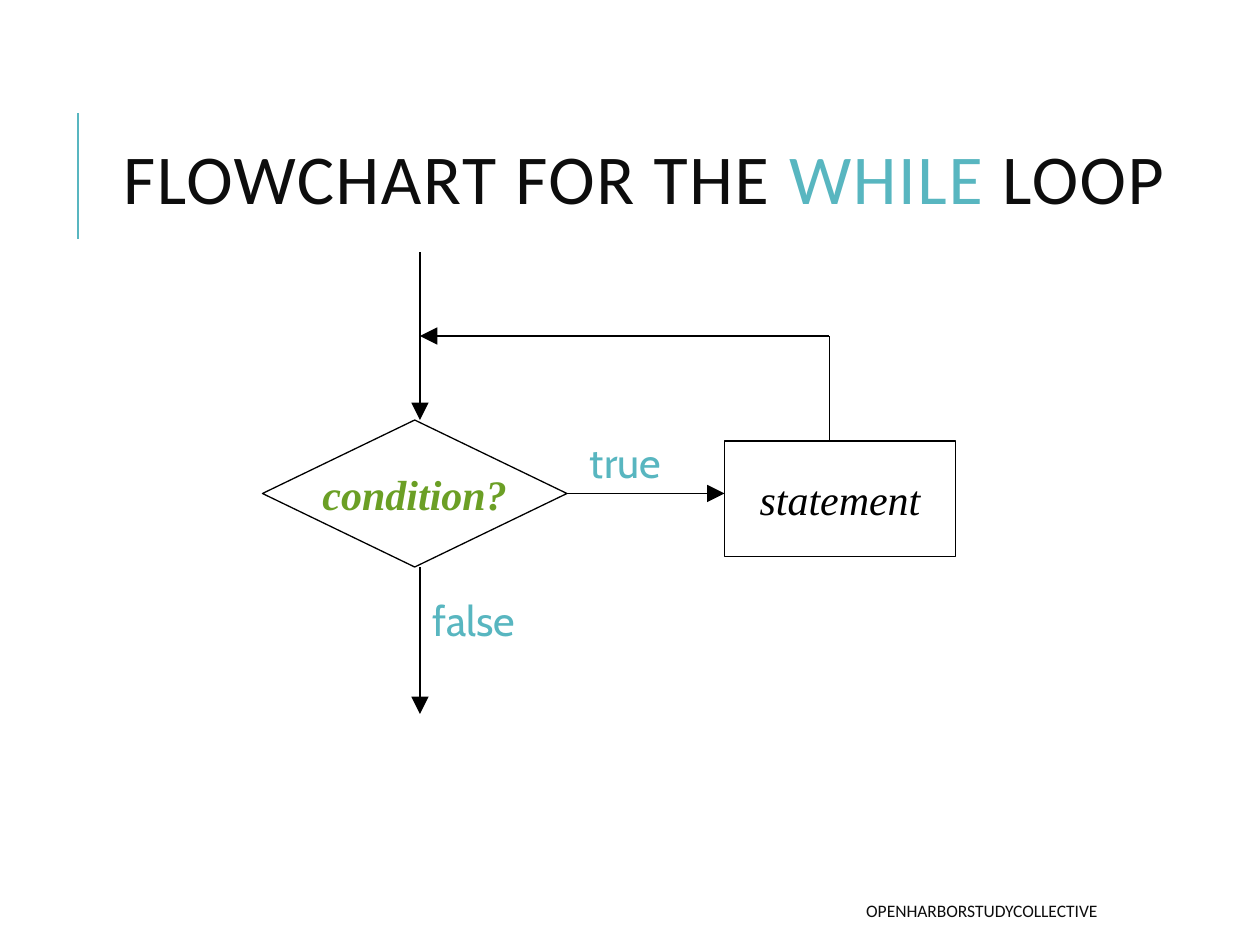
import dataclasses

import lxml.etree
import pptx
import pptx.dml.color
import pptx.enum.shapes
import pptx.enum.text
import pptx.oxml.ns
import pptx.util

SHAPES = pptx.enum.shapes.MSO_SHAPE
ALIGN = pptx.enum.text.PP_ALIGN
ANCHOR = pptx.enum.text.MSO_ANCHOR
FIT = pptx.enum.text.MSO_AUTO_SIZE
COLUMNS, ROWS = 120, 90


@dataclasses.dataclass(frozen=True)
class Theme:
    """Colours, fonts, type sizes and line widths of the deck."""
    ink: str = "000000"
    heading: str = "0D0D0D"
    accent: str = "58B6C0"
    green: str = "6B9F25"
    sans: str = "Calibri"
    label_font: str = "Cabin"
    serif: str = "Times New Roman"
    title_size: int = 40
    body_size: int = 24
    footer_size: int = 10
    rule: float = 1.5
    thin: float = 0.75


@dataclasses.dataclass(frozen=True)
class Box:
    """A region in which parts are placed by grid columns and rows."""
    left: int
    top: int
    width: int
    height: int
    columns: float
    rows: float

    def point(self, column, row):
        """Return the slide position of a grid point."""
        return (round(self.left + self.width * column / self.columns),
                round(self.top + self.height * row / self.rows))

    def area(self, column, row, width, height):
        """Return left, top, width and height of a grid area."""
        left, top = self.point(column, row)
        right, bottom = self.point(column + width, row + height)
        return left, top, right - left, bottom - top

    def region(self, column, row, width, height):
        """Return a smaller box that keeps the same grid unit."""
        return Box(*self.area(column, row, width, height), width, height)


THEME = Theme()


def rgb(colour):
    """Turn a hex string into a colour."""
    return pptx.dml.color.RGBColor.from_string(colour)


def style(span, font, size, colour, bold=False, italic=False):
    """Format one run."""
    span.font.name = font
    span.font.size = pptx.util.Pt(size)
    span.font.color.rgb = rgb(colour)
    span.font.bold = bold
    span.font.italic = italic


def add_line(shapes, start, end, colour=THEME.ink, width=THEME.thin, arrow=False):
    """Draw a straight connector, with an arrowhead at its end if asked."""
    line = shapes.add_connector(pptx.enum.shapes.MSO_CONNECTOR.STRAIGHT, *start, *end)
    line.line.color.rgb = rgb(colour)
    line.line.width = pptx.util.Pt(width)
    properties = line._element.spPr
    if arrow:
        outline = properties.find(pptx.oxml.ns.qn("a:ln"))
        lxml.etree.SubElement(outline, pptx.oxml.ns.qn("a:tailEnd"),
                              type="triangle", w="lg", len="lg")
    lxml.etree.SubElement(properties, pptx.oxml.ns.qn("a:effectLst"))
    return line


def add_text(shapes, area, text, font, size, colour, align=ALIGN.LEFT,
             anchor=ANCHOR.TOP, fit=FIT.NONE):
    """Place a text box holding one run."""
    frame = shapes.add_textbox(*area).text_frame
    frame.word_wrap = True
    frame.auto_size = fit
    frame.vertical_anchor = anchor
    frame.text = text
    para = frame.paragraphs[0]
    para.alignment = align
    style(para.runs[0], font, size, colour)


def add_node(shapes, kind, area, text, colour, bold=False):
    """Place an outlined flowchart node with centred text."""
    node = shapes.add_shape(kind, *area)
    node.shadow.inherit = False
    node.fill.background()
    node.line.color.rgb = rgb(THEME.ink)
    node.line.width = pptx.util.Pt(THEME.thin)
    frame = node.text_frame
    frame.word_wrap = False
    frame.vertical_anchor = ANCHOR.MIDDLE
    frame.text = text
    para = frame.paragraphs[0]
    para.alignment = ALIGN.CENTER
    style(para.runs[0], THEME.serif, THEME.body_size, colour, bold, True)
    return node


def add_title(page, box):
    """Place the accent rule and the two-coloured title."""
    add_line(page.shapes, box.point(0, 3.1), box.point(0, 15.1), THEME.accent, THEME.rule)
    frame = page.shapes.add_textbox(*box.area(3.1, 0, 107.6, 19.7)).text_frame
    frame.word_wrap = True
    frame.vertical_anchor = ANCHOR.MIDDLE
    para = frame.paragraphs[0]
    para.line_spacing = 0.8
    for text, colour in (("FLOWCHART FOR THE ", THEME.heading),
                         ("WHILE", THEME.accent), (" LOOP", THEME.heading)):
        span = para.add_run()
        span.text = text
        style(span, THEME.sans, THEME.title_size, colour)
        span.font._element.set("spc", "100")


def add_flowchart(page, box):
    """Place the loop's nodes, arrows and branch labels as one group."""
    shapes = page.shapes.add_group_shape().shapes
    condition = add_node(shapes, SHAPES.FLOWCHART_DECISION, box.area(0, 16, 29, 14),
                         "condition?", THEME.green, True)
    add_node(shapes, SHAPES.FLOWCHART_PROCESS, box.area(44, 18, 22, 11),
             "statement", THEME.ink)
    branch = add_line(shapes, box.point(29, 23), box.point(44, 23), arrow=True)
    branch.begin_connect(condition, 3)
    flow, back = 15, 54
    for start, end, arrow in (((flow, 0), (flow, 16), True),
                              ((back, 8), (flow, 8), True),
                              ((back, 18), (back, 8), False),
                              ((flow, 30), (flow, 44), True)):
        add_line(shapes, box.point(*start), box.point(*end), arrow=arrow)
    for text, column, row in (("true", 30, 17), ("false", flow, 32)):
        add_text(shapes, box.area(column, row, 11, 6), text, THEME.label_font,
                 THEME.body_size, THEME.accent, fit=FIT.SHAPE_TO_FIT_TEXT)


def add_footer(page, box):
    """Place the right-aligned footer."""
    add_text(page.shapes, box.area(0, 0, box.columns, box.rows),
             "OPENHARBORSTUDYCOLLECTIVE", THEME.sans, THEME.footer_size,
             THEME.heading, ALIGN.RIGHT, ANCHOR.MIDDLE)


def main():
    """Build and save the slide."""
    deck = pptx.Presentation()
    deck.slide_width = pptx.util.Inches(10)
    deck.slide_height = pptx.util.Inches(7.5)
    page = deck.slides.add_slide(deck.slide_layouts[6])
    sheet = Box(0, 0, deck.slide_width, deck.slide_height, COLUMNS, ROWS)
    add_title(page, sheet.region(7.45, 7.7, 110.7, 19.7))
    add_flowchart(page, sheet.region(25, 24, 66, 44))
    add_footer(page, sheet.region(47.6, 84.9, 58.1, 3.6))
    deck.save("out.pptx")


if __name__ == "__main__":
    main()
